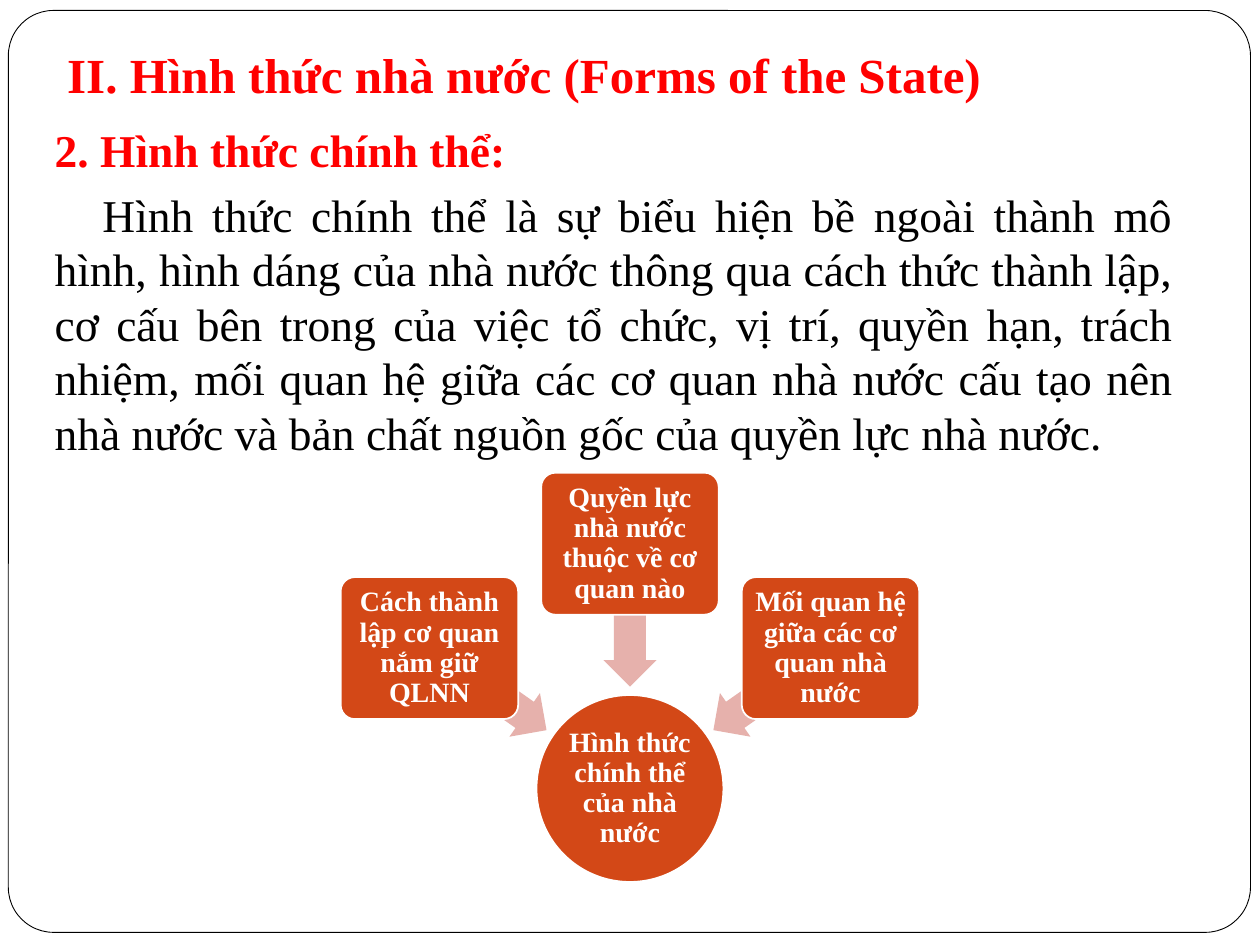
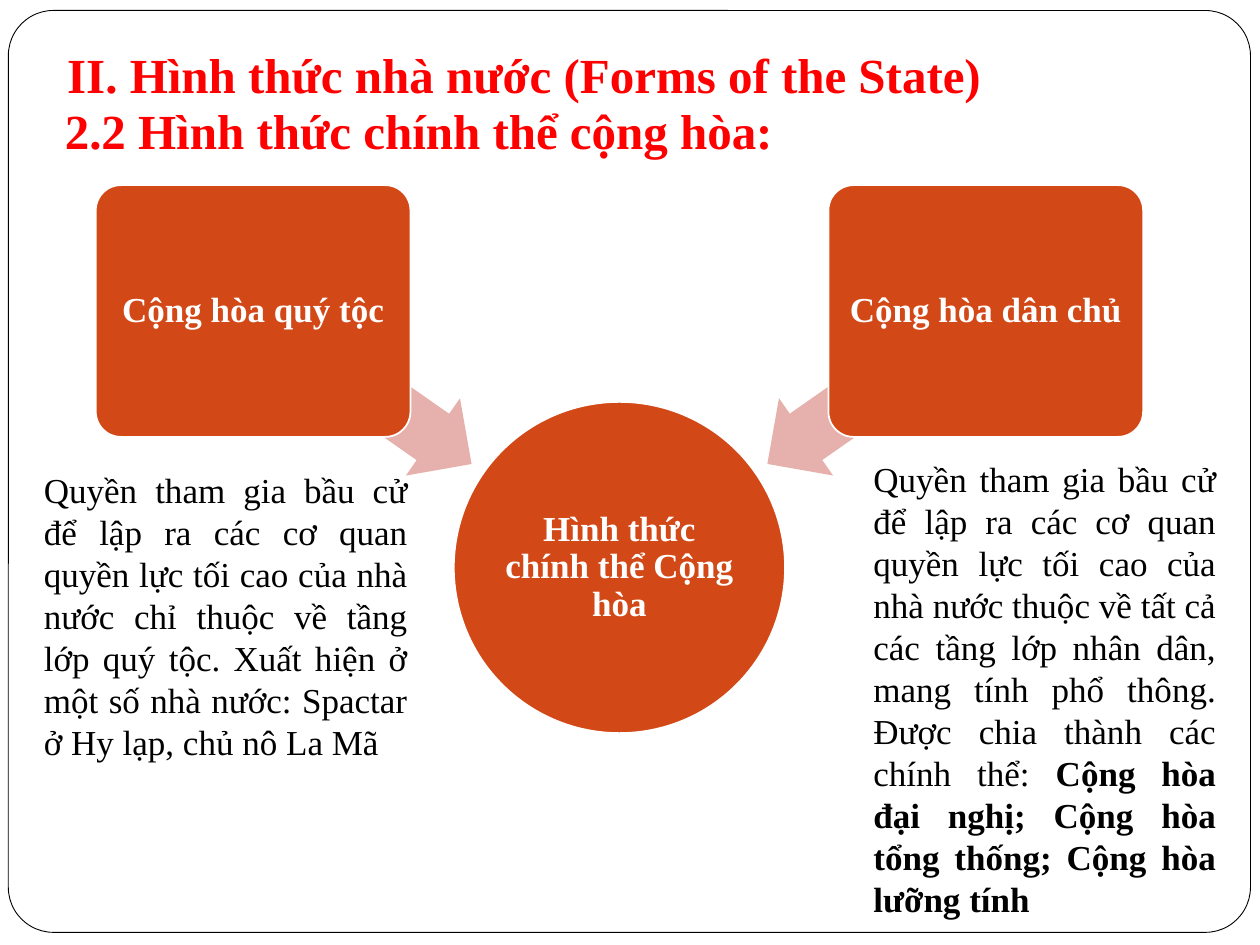
import math

from lxml import etree
from pptx import Presentation
from pptx import util as u
from pptx.dml.color import RGBColor
from pptx.enum import shapes, text
from pptx.oxml.ns import qn

# Shared look
RED = RGBColor(0xFF, 0x00, 0x00)
BLACK = RGBColor(0x00, 0x00, 0x00)
WHITE = RGBColor(0xFF, 0xFF, 0xFF)
ORANGE = RGBColor(0xD3, 0x48, 0x17)
PINK = RGBColor(0xE6, 0xB1, 0xAC)
FONT = "Times New Roman"
SHAPE = shapes.MSO_SHAPE
ANCHOR = text.MSO_ANCHOR
ALIGN = text.PP_ALIGN

# The slide is a grid of 120 columns by 90 rows of square cells
WIDTH, HEIGHT = u.Inches(10), u.Inches(7.5)
CELL = WIDTH / 120

HEADING = "II. Hình thức nhà nước (Forms of the State)"
TITLE_BOX = (4, 1, 113, 10)
FRAME_BOX = (0.8, 1, 118.3, 87.8)


def cells(*counts):
    return [round(count * CELL) for count in counts]


def place(part, box):
    part.left, part.top, part.width, part.height = cells(*box)


def write(paragraph, words, size=20, color=BLACK, bold=False, align=None,
          before=None, line=None):
    """Append a formatted run, and set the paragraph format that is given."""
    run = paragraph.add_run()
    run.text = words
    run.font.name, run.font.size, run.font.bold = FONT, u.Pt(size), bold
    run.font.color.rgb = color
    if align is not None:
        paragraph.alignment = align
    if before is not None:
        paragraph.space_before = u.Pt(before)
    if line is not None:
        paragraph.line_spacing = line
    return paragraph


def set_margins(frame, left, top, right, bottom):
    frame.margin_left, frame.margin_top = u.Inches(left), u.Inches(top)
    frame.margin_right, frame.margin_bottom = u.Inches(right), u.Inches(bottom)


def remove_bullet(paragraph, first_line=0):
    props = paragraph._p.get_or_add_pPr()
    props.set("marL", "0")
    props.set("indent", str(u.Inches(first_line)))
    etree.SubElement(props, qn("a:buNone"))


def draw(parent, preset, box, fill, line=None, line_width=1, adjust=()):
    part = parent.add_shape(preset, *cells(*box))
    part.shadow.inherit = False
    part.fill.solid()
    part.fill.fore_color.rgb = fill
    if line is None:
        part.line.fill.background()
    else:
        part.line.color.rgb = line
        part.line.width = u.Pt(line_width)
    for index, value in enumerate(adjust):
        part.adjustments[index] = value
    return part


def label(part, words, size):
    frame = part.text_frame
    frame.word_wrap = True
    frame.vertical_anchor = ANCHOR.MIDDLE
    set_margins(frame, 0.02, 0.02, 0.02, 0.02)
    write(frame.paragraphs[0], words, size=size, color=WHITE, bold=True,
          align=ALIGN.CENTER, line=0.9)


def add_frame(prs, slide):
    """Put the rounded page frame behind everything, on the master."""
    page = draw(slide.shapes, SHAPE.ROUNDED_RECTANGLE, FRAME_BOX, WHITE,
                line=BLACK, line_width=0.5, adjust=[0.049])
    page.element.nvSpPr.cNvPr.id = 99
    prs.slide_master.shapes.element.insert(2, page.element)


def add_title(slide):
    title = slide.shapes.title
    place(title, TITLE_BOX)
    frame = title.text_frame
    frame.auto_size = text.MSO_AUTO_SIZE.NONE
    frame.vertical_anchor = ANCHOR.BOTTOM
    set_margins(frame, 0.2, 0.05, 0.1, 0.1)
    write(frame.paragraphs[0], HEADING, size=28, color=RED, bold=True,
          align=ALIGN.LEFT)


def add_note(slide, box):
    note = slide.shapes.add_textbox(*cells(*box))
    note.text_frame.word_wrap = True
    return note.text_frame.paragraphs[0]


def add_radial(slide, center, diameter, hub_words, branches, size,
               reach, arrow_reach, arrow_length):
    """Hub with branches set around it; the last three are shares of its diameter."""
    group = slide.shapes.add_group_shape().shapes

    def box_at(angle, share, width, height):
        x = center[0] + share * diameter * math.cos(math.radians(angle))
        y = center[1] + share * diameter * math.sin(math.radians(angle))
        return x - width / 2, y - height / 2, width, height

    hub = draw(group, SHAPE.OVAL, box_at(0, 0, diameter, diameter), ORANGE, line=WHITE)
    label(hub, hub_words, size)

    branch_width = 0.95 * diameter
    for angle, words in branches:
        arrow_box = box_at(angle, arrow_reach, arrow_length * diameter, 0.285 * diameter)
        arrow = draw(group, SHAPE.LEFT_ARROW, arrow_box, PINK, adjust=[0.6, 0.5])
        arrow.rotation = angle
        branch_box = box_at(angle, reach, branch_width, 0.8 * branch_width)
        branch = draw(group, SHAPE.ROUNDED_RECTANGLE, branch_box, ORANGE,
                      line=WHITE, adjust=[0.1])
        label(branch, words, size)


def fill_definition_slide(slide):
    add_title(slide)

    # Definition
    body = slide.placeholders[1]
    place(body, (4, 11, 109, 38))
    frame = body.text_frame
    frame.auto_size = text.MSO_AUTO_SIZE.NONE
    section = write(frame.paragraphs[0], "2. Hình thức chính thể:", size=26,
                    color=RED, bold=True, align=ALIGN.JUSTIFY, before=5.8)
    remove_bullet(section)
    definition = write(
        frame.add_paragraph(),
        "Hình thức chính thể là sự biểu hiện bề ngoài thành mô hình, hình dáng của "
        "nhà nước thông qua cách thức thành lập, cơ cấu bên trong của việc tổ chức, "
        "vị trí, quyền hạn, trách nhiệm, mối quan hệ giữa các cơ quan nhà nước cấu "
        "tạo nên nhà nước và bản chất nguồn gốc của quyền lực nhà nước.",
        size=26, align=ALIGN.JUSTIFY, before=5.8)
    remove_bullet(definition, first_line=0.38)

    # Three aspects
    add_radial(slide, (60, 75.1), 17.8, "Hình thức chính thể của nhà nước",
               [(215, "Cách thành lập cơ quan nắm giữ QLNN"),
                (270, "Quyền lực nhà nước thuộc về cơ quan nào"),
                (325, "Mối quan hệ giữa các cơ quan nhà nước")],
               size=16, reach=1.31, arrow_reach=0.93, arrow_length=0.77)


def fill_republic_slide(slide):
    add_title(slide)

    # Two kinds of republic
    add_radial(slide, (59, 54.05), 31.55, "Hình thức chính thể Cộng hòa",
               [(215, "Cộng hòa quý tộc"), (325, "Cộng hòa dân chủ")],
               size=20, reach=1.35, arrow_reach=0.95, arrow_length=0.81)

    # Explanations
    write(add_note(slide, (3, 44, 37, 29.5)),
          "Quyền tham gia bầu cử để lập ra các cơ quan quyền lực tối cao của nhà "
          "nước chỉ thuộc về tầng lớp quý tộc. Xuất hiện ở một số nhà nước: Spactar "
          "ở Hy lạp, chủ nô La Mã", align=ALIGN.JUSTIFY)
    democratic = add_note(slide, (82, 43, 35, 45.6))
    write(democratic,
          "Quyền tham gia bầu cử để lập ra các cơ quan quyền lực tối cao của nhà "
          "nước thuộc về tất cả các tầng lớp nhân dân, mang tính phổ thông. Được "
          "chia thành các chính thể: ", align=ALIGN.JUSTIFY)
    write(democratic, "Cộng hòa đại nghị; Cộng hòa tổng thống; Cộng hòa lưỡng tính",
          bold=True)

    # Section heading
    write(add_note(slide, (5, 9, 109, 7)), "2.2 Hình thức chính thể cộng hòa:",
          size=28, color=RED, bold=True, align=ALIGN.JUSTIFY, before=5.8)


def main():
    prs = Presentation()
    prs.slide_width, prs.slide_height = WIDTH, HEIGHT
    definition = prs.slides.add_slide(prs.slide_layouts[1])
    republic = prs.slides.add_slide(prs.slide_layouts[5])
    add_frame(prs, definition)
    fill_definition_slide(definition)
    fill_republic_slide(republic)
    prs.save("out.pptx")


if __name__ == "__main__":
    main()
